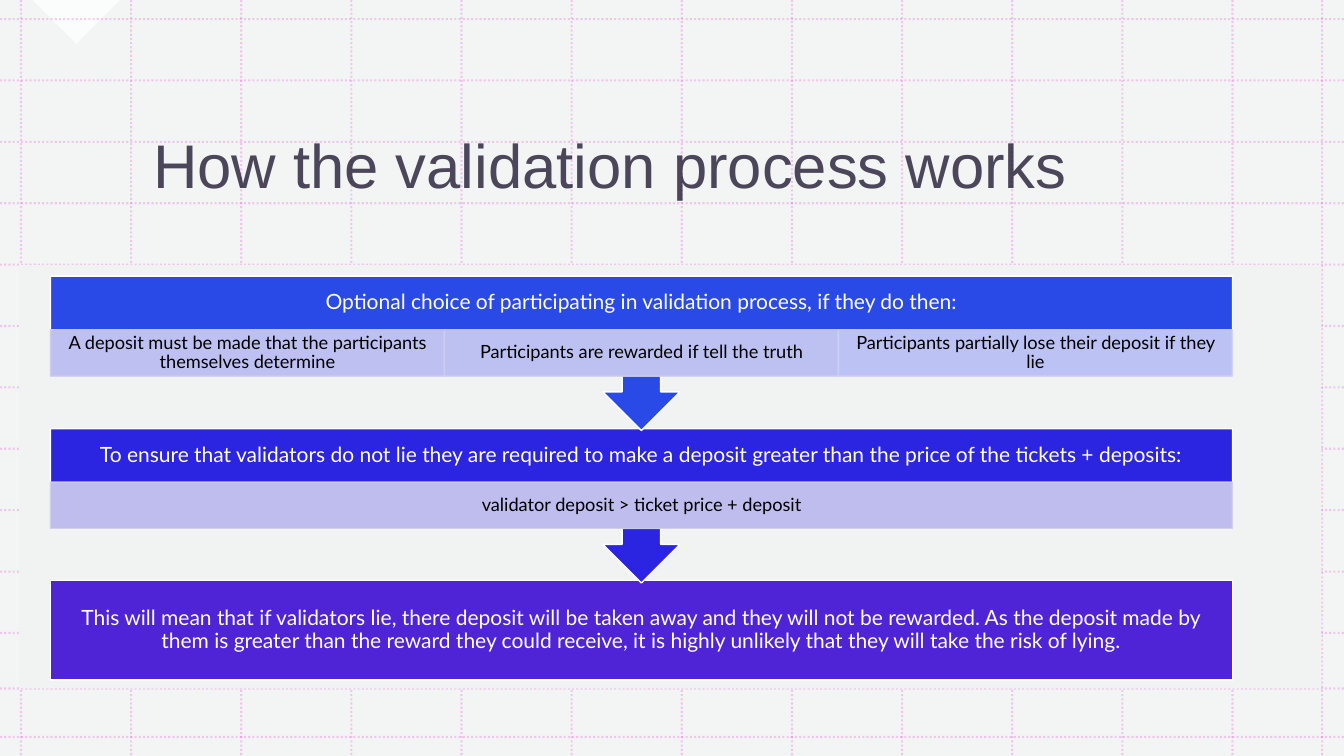
from dataclasses import dataclass

from lxml import etree
from pptx import Presentation
from pptx.dml.color import RGBColor
from pptx.enum.dml import MSO_LINE
from pptx.enum.shapes import MSO_CONNECTOR, MSO_SHAPE
from pptx.enum.text import MSO_ANCHOR, PP_ALIGN
from pptx.oxml.ns import qn
from pptx.shapes.autoshape import Shape
from pptx.slide import Slide
from pptx.text.text import TextFrame
from pptx.util import Cm, Pt

RECTANGLE = MSO_SHAPE.RECTANGLE
CALLOUT = MSO_SHAPE.DOWN_ARROW_CALLOUT
RIGHT_TRIANGLE = MSO_SHAPE.RIGHT_TRIANGLE
STRAIGHT = MSO_CONNECTOR.STRAIGHT
DOTTED = MSO_LINE.ROUND_DOT
MIDDLE = MSO_ANCHOR.MIDDLE
LEFT, CENTER = PP_ALIGN.LEFT, PP_ALIGN.CENTER

# All lengths are in centimetres.
WIDTH, HEIGHT = 33.87, 19.05
PALE = "F0F3F2"
WHITE = "FFFFFF"
GRID = "D517C7"

COLUMN_STEP = (31.06 - 0.53) / 11
ROW_STEP = (15.95 - 0.48) / 10
GRID_COLUMNS = [0.53 + i * COLUMN_STEP for i in range(12)] + [33.32]
GRID_ROWS = [0.48 + i * ROW_STEP for i in range(11)] + [17.35, 18.57]

FLOW_LEFT, FLOW_WIDTH = 1.27, 29.79
CALLOUT_HEIGHT, HEADER_HEIGHT, CELL_HEIGHT = 3.89, 1.35, 1.17
INSET = 0.3


@dataclass
class Cell:
    text: str
    color: str


@dataclass
class Step:
    top: float
    height: float
    color: str
    text: str
    cells: tuple[Cell, ...] = ()


STEPS = [
    Step(6.96, CALLOUT_HEIGHT, "294AE7",
         "Optional choice of participating in validation process, if they do then:",
         (Cell("A deposit must be made that the participants themselves determine", "CECDF2"),
          Cell("Participants are rewarded if tell the truth", "CDCEF4"),
          Cell("Participants partially lose their deposit if they lie", "CDD0F6"))),
    Step(10.8, CALLOUT_HEIGHT, "2B25E1",
         "To ensure that validators do not lie they are required to make a deposit "
         "greater than the price of the tickets + deposits:",
         (Cell("validator deposit > ticket price + deposit", "D0CDF0"),)),
    Step(14.63, 2.51, "4F24D7",
         "This will mean that if validators lie, there deposit will be taken away and "
         "they will not be rewarded. As the deposit made by them is greater than the "
         "reward they could receive, it is highly unlikely that they will take the "
         "risk of lying."),
]


def rgb(color: str) -> RGBColor:
    return RGBColor.from_string(color)


def set_opacity(element: etree._Element, percent: int) -> None:
    """Apply the opacity to every colour set so far inside the element."""
    for color in element.iter(qn("a:srgbClr")):
        etree.SubElement(color, qn("a:alpha")).set("val", str(percent * 1000))


def add_block(page: Slide, kind: MSO_SHAPE, left: float, top: float, width: float,
              height: float, fill: str, line: str = "", opacity: int = 100) -> Shape:
    block = page.shapes.add_shape(kind, Cm(left), Cm(top), Cm(width), Cm(height))
    block.shadow.inherit = False
    block.fill.solid()
    block.fill.fore_color.rgb = rgb(fill)
    if line:
        block.line.color.rgb = rgb(line)
        block.line.width = Pt(1)
    else:
        block.line.fill.background()
    if opacity < 100:
        set_opacity(block.element, opacity)
    return block


def add_grid_line(page: Slide, x1: float, y1: float, x2: float, y2: float) -> None:
    rule = page.shapes.add_connector(STRAIGHT, Cm(x1), Cm(y1), Cm(x2), Cm(y2))
    rule.line.color.rgb = rgb(GRID)
    rule.line.width = Pt(1.5)
    rule.line.dash_style = DOTTED
    set_opacity(rule.element, 20)
    etree.SubElement(rule.element.find(qn("p:spPr")), qn("a:effectLst"))


def write(frame: TextFrame, text: str, *, size: float, color: str, font: str = "Lato",
          align: PP_ALIGN = CENTER, side: float = INSET, top: float = INSET,
          bottom: float = INSET) -> None:
    frame.word_wrap = True
    frame.vertical_anchor = MIDDLE
    frame.margin_left = frame.margin_right = Cm(side)
    frame.margin_top, frame.margin_bottom = Cm(top), Cm(bottom)
    para = frame.paragraphs[0]
    para.alignment = align
    para.line_spacing = 0.9
    span = para.add_run()
    span.text = text
    span.font.name = font
    span.font.size = Pt(size)
    span.font.color.rgb = rgb(color)


def add_background(page: Slide) -> None:
    add_block(page, RECTANGLE, 0, 0, WIDTH, HEIGHT, PALE, opacity=80)
    corner = add_block(page, RIGHT_TRIANGLE, 1.14, -0.79, 1.57, 1.57, WHITE, opacity=75)
    corner.rotation = 315
    for x in GRID_COLUMNS:
        add_grid_line(page, x, 0, x, HEIGHT)
    for y in GRID_ROWS:
        add_grid_line(page, 0, y, WIDTH, y)


def add_title(page: Slide) -> None:
    box = page.shapes.add_textbox(Cm(3.61), Cm(2.01), Cm(25.1), Cm(4.47))
    write(box.text_frame, "How the validation process works", size=44, color="221B33",
          font="Arial", align=LEFT, side=0.25, top=0.13, bottom=0.13)
    set_opacity(box.element, 80)


def add_step(page: Slide, step: Step) -> None:
    kind = CALLOUT if step.cells else RECTANGLE
    block = add_block(page, kind, FLOW_LEFT, step.top, FLOW_WIDTH, step.height,
                      step.color, WHITE)
    # The cells cover the lower part of a callout, so its text stays above them.
    bottom = INSET + CELL_HEIGHT if step.cells else INSET
    write(block.text_frame, step.text, size=15, color=WHITE, bottom=bottom)
    for i, cell in enumerate(step.cells):
        width = FLOW_WIDTH / len(step.cells)
        box = add_block(page, RECTANGLE, FLOW_LEFT + i * width, step.top + HEADER_HEIGHT,
                        width, CELL_HEIGHT, cell.color, cell.color, opacity=90)
        write(box.text_frame, cell.text, size=13, color="000000",
              side=0.25, top=0.04, bottom=0.04)


def main() -> None:
    deck = Presentation()
    deck.slide_width, deck.slide_height = Cm(WIDTH), Cm(HEIGHT)
    page = deck.slides.add_slide(deck.slide_layouts[6])
    add_background(page)
    add_title(page)
    add_block(page, RECTANGLE, 0.51, 6.68, 32.79, 10.67, PALE)
    # Last step first: each arrow tip lies over the step below it.
    for step in reversed(STEPS):
        add_step(page, step)
    deck.save("out.pptx")


if __name__ == "__main__":
    main()
